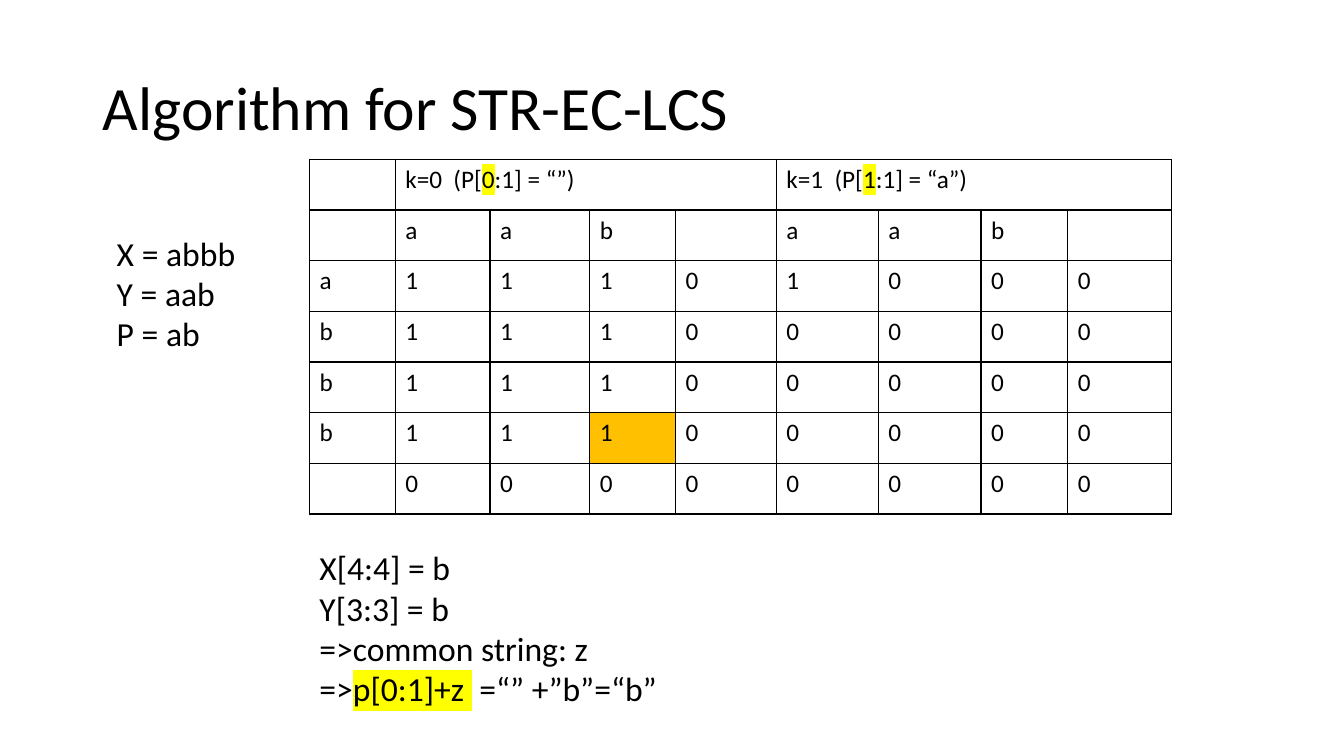
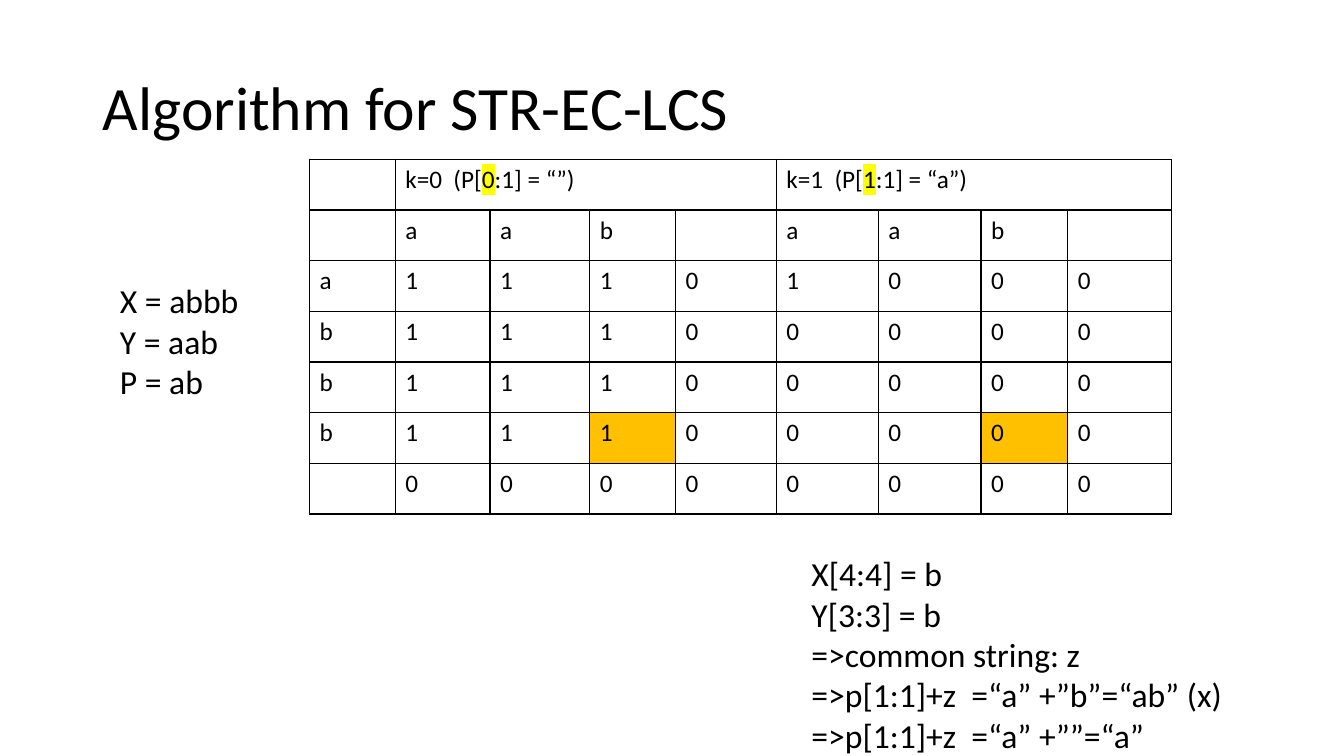
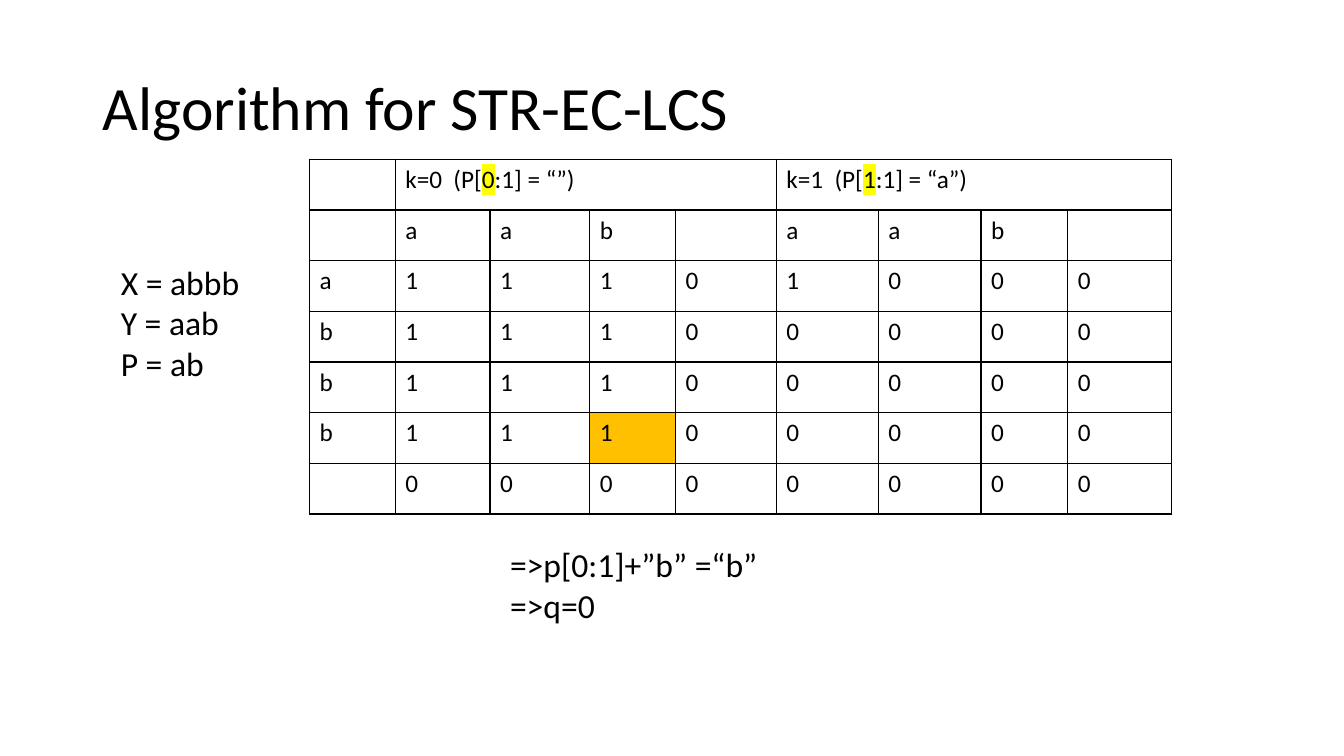
from dataclasses import dataclass

from lxml.etree import SubElement
from pptx import Presentation
from pptx.dml.color import RGBColor
from pptx.enum.text import MSO_ANCHOR, MSO_AUTO_SIZE, PP_ALIGN
from pptx.oxml.ns import qn
from pptx.util import Inches, Pt

FONT = "Calibri"
BLACK, YELLOW, ORANGE = "000000", "FFFF00", "FFC000"
SLIDE_W, SLIDE_H = Inches(13.33), Inches(7.5)
TITLE = "Algorithm for STR-EC-LCS"
BORDER_PT = 1
TITLE_PT, NOTE_PT, CELL_PT = 44, 24, 18


@dataclass(frozen=True)
class Box:
    """Left, top, width and height in percent of the slide."""
    left: float
    top: float
    width: float
    height: float

    def emu(self) -> tuple[int, int, int, int]:
        return (share(SLIDE_W, self.left), share(SLIDE_H, self.top),
                share(SLIDE_W, self.width), share(SLIDE_H, self.height))


@dataclass(frozen=True)
class Run:
    text: str
    highlight: str = ""


Line = tuple[Run, ...]


@dataclass(frozen=True)
class Note:
    box: Box
    lines: tuple[Line, ...]


@dataclass(frozen=True)
class Step:
    inputs: Box
    result: Note
    marked: frozenset[tuple[int, int]]


def share(length: int, percent: float) -> int:
    return round(length * percent / 100)


def plain(*texts: str) -> tuple[Line, ...]:
    return tuple((Run(text),) for text in texts)


TITLE_BOX = Box(6.9, 8.93, 86.27, 11.47)
TABLE_BOX = Box(23.03, 21.07, 64.15, 46.93)
COLUMNS = (6.38, 7.05, 7.43, 6.38, 7.5, 7.58, 7.65, 6.45, 7.73)
SPAN = 4
HEADERS = {
    1: (Run("k=0  (P["), Run("0", YELLOW), Run(":1] = “”)")),
    1 + SPAN: (Run("k=1  (P["), Run("1", YELLOW), Run(":1] = “a”)")),
}
ROWS = (
    ("", "a", "a", "b", "", "a", "a", "b", ""),
    ("a", *"11101000"),
    *[("b", *"11100000")] * 3,
    ("", *"00000000"),
)
INPUTS = plain("X = abbb", "Y = aab", "P = ab")
MATCH = plain("X[4:4] = b", "Y[3:3] = b", "=>common string: z")
MARK_K0, MARK_K1 = (5, 3), (5, 7)

STEPS = (
    Step(
        Box(7.95, 30.13, 11.4, 17.47),
        Note(Box(23.03, 71.73, 38.78, 28.27), (
            *MATCH,
            (Run("=>"), Run("p[0:1]+z ", YELLOW), Run(" =“” +”b”=“b”")),
        )),
        frozenset({MARK_K0}),
    ),
    Step(
        Box(8.18, 36.4, 10.8, 17.47),
        Note(Box(59.64, 72.53, 38.78, 28.27), (
            *MATCH,
            *plain("=>p[1:1]+z  =“a” +”b”=“ab” (x)", "=>p[1:1]+z  =“a” +””=“a”"),
        )),
        frozenset({MARK_K0, MARK_K1}),
    ),
    Step(
        Box(8.25, 34, 11.4, 17.47),
        Note(Box(37.21, 71.33, 38.78, 12.13), plain("=>p[0:1]+”b” =“b”", "=>q=0")),
        frozenset({MARK_K0}),
    ),
)


def color(value: str) -> RGBColor:
    return RGBColor.from_string(value)


def add_runs(p, line: Line, size: float) -> None:
    for part in line:
        r = p.add_run()
        r.text = part.text
        r.font.size = Pt(size)
        r.font.color.rgb = color(BLACK)
        r.font.name = FONT
        if part.highlight:
            rpr = r.font._element
            mark = SubElement(rpr, qn("a:highlight"))
            SubElement(mark, qn("a:srgbClr"), val=part.highlight)
            rpr.find(qn("a:latin")).addprevious(mark)


def add_title(s) -> None:
    sp = s.shapes.title
    sp.left, sp.top, sp.width, sp.height = TITLE_BOX.emu()
    tf = sp.text_frame
    tf.auto_size = MSO_AUTO_SIZE.NONE
    tf.vertical_anchor = MSO_ANCHOR.MIDDLE
    p = tf.paragraphs[0]
    p.alignment = PP_ALIGN.LEFT
    p.line_spacing = 0.9
    add_runs(p, (Run(TITLE),), TITLE_PT)


def add_note(s, note: Note) -> None:
    tf = s.shapes.add_textbox(*note.box.emu()).text_frame
    tf.word_wrap = True
    tf.auto_size = MSO_AUTO_SIZE.SHAPE_TO_FIT_TEXT
    for i, line in enumerate(note.lines):
        p = tf.add_paragraph() if i else tf.paragraphs[0]
        add_runs(p, line, NOTE_PT)


def add_borders(cell) -> None:
    tcpr = cell._tc.get_or_add_tcPr()
    for side in ("lnL", "lnR", "lnT", "lnB"):
        ln = SubElement(tcpr, qn(f"a:{side}"), w=str(Pt(BORDER_PT)))
        fill = SubElement(ln, qn("a:solidFill"))
        SubElement(fill, qn("a:srgbClr"), val=BLACK)


def add_grid(s, marked: frozenset[tuple[int, int]]) -> None:
    row_count = len(ROWS) + 1
    table = s.shapes.add_table(row_count, len(COLUMNS), *TABLE_BOX.emu()).table
    table.first_row = table.horz_banding = False
    for column, width in zip(table.columns, COLUMNS):
        column.width = share(SLIDE_W, width)
    for row in table.rows:
        row.height = share(SLIDE_H, TABLE_BOX.height / row_count)
    for cell in table.iter_cells():
        add_borders(cell)
        cell.fill.background()
    for col, line in HEADERS.items():
        table.cell(0, col).merge(table.cell(0, col + SPAN - 1))
        add_runs(table.cell(0, col).text_frame.paragraphs[0], line, CELL_PT)
    for i, values in enumerate(ROWS, start=1):
        for j, value in enumerate(values):
            if value:
                p = table.cell(i, j).text_frame.paragraphs[0]
                add_runs(p, (Run(value),), CELL_PT)
    for i, j in marked:
        fill = table.cell(i, j).fill
        fill.solid()
        fill.fore_color.rgb = color(ORANGE)


def main() -> None:
    prs = Presentation()
    prs.slide_width, prs.slide_height = SLIDE_W, SLIDE_H
    title_only = prs.slide_layouts.get_by_name("Title Only")
    for step in STEPS:
        s = prs.slides.add_slide(title_only)
        add_title(s)
        add_grid(s, step.marked)
        add_note(s, Note(step.inputs, INPUTS))
        add_note(s, step.result)
    prs.save("out.pptx")


if __name__ == "__main__":
    main()
